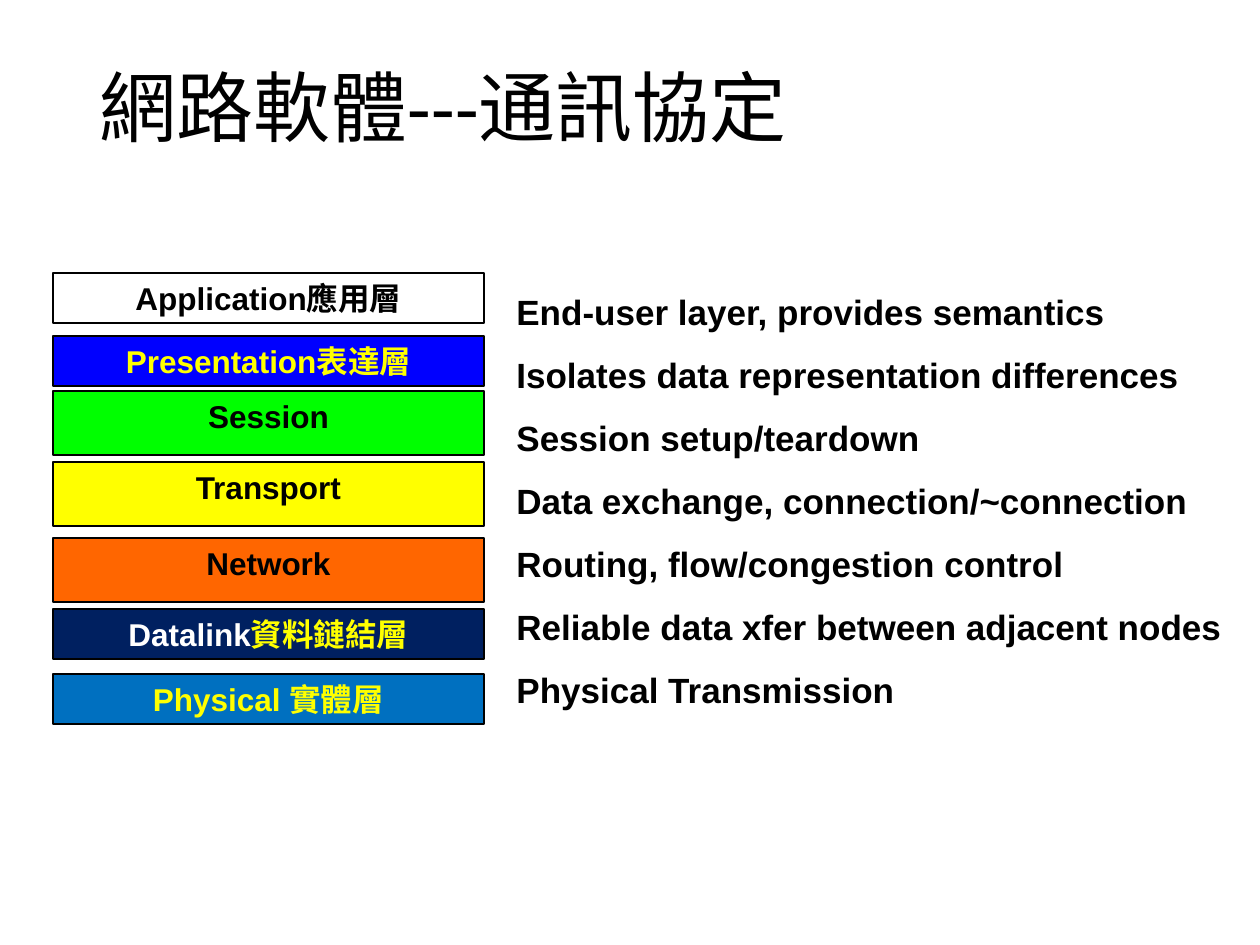
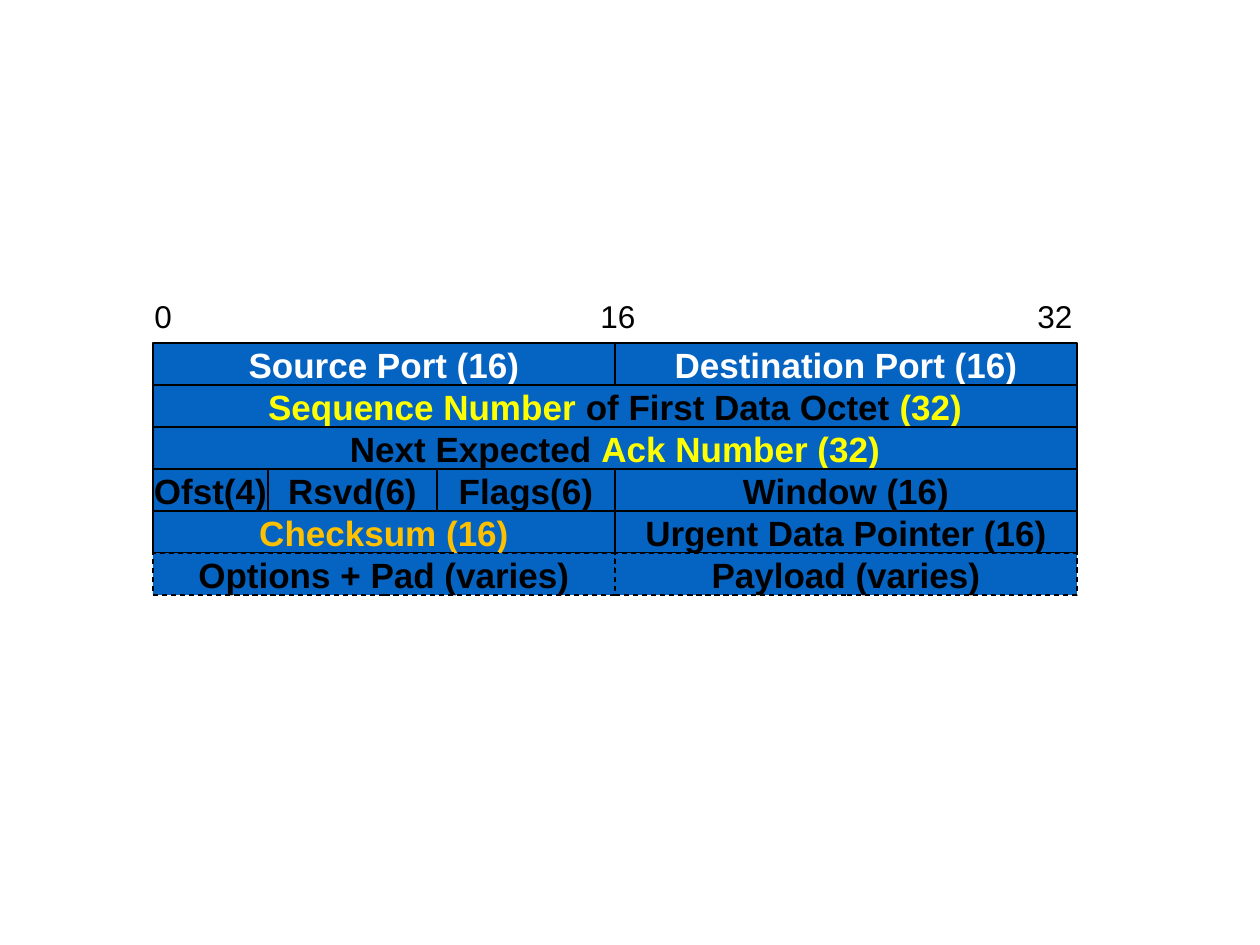
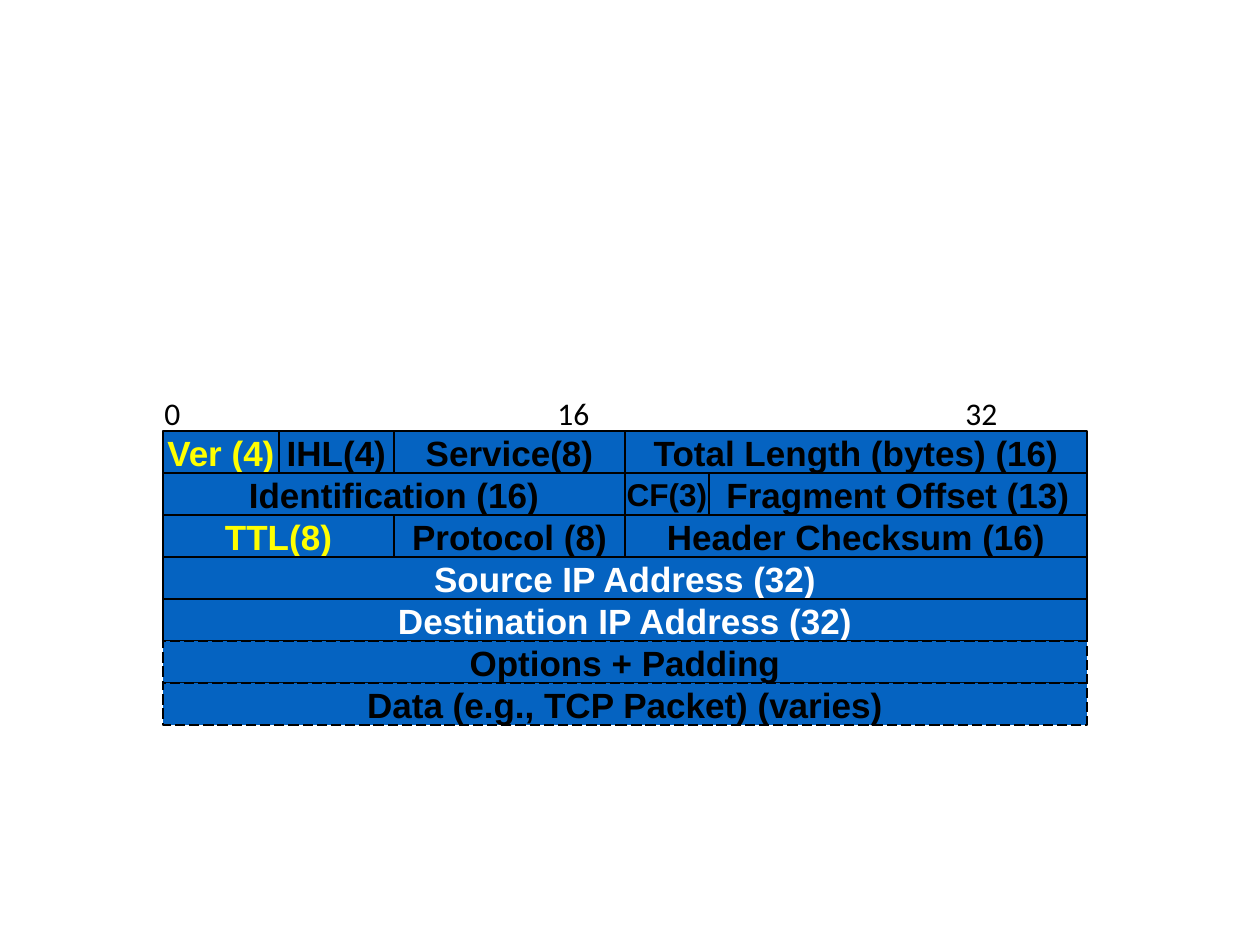
from lxml import etree
from pptx import Presentation
from pptx.dml.color import RGBColor
from pptx.enum.dml import MSO_LINE
from pptx.enum.shapes import MSO_SHAPE
from pptx.enum.text import MSO_ANCHOR, PP_ALIGN
from pptx.oxml.ns import qn
from pptx.util import Pt

RECT = MSO_SHAPE.RECTANGLE
DASH, LONG = MSO_LINE.DASH, MSO_LINE.LONG_DASH
TOP, MIDDLE = MSO_ANCHOR.TOP, MSO_ANCHOR.MIDDLE
LEFT, CENTER = PP_ALIGN.LEFT, PP_ALIGN.CENTER

BLACK = RGBColor(0x00, 0x00, 0x00)
WHITE = RGBColor(0xFF, 0xFF, 0xFF)
YELLOW = RGBColor(0xFF, 0xFF, 0x00)
GOLD = RGBColor(0xFF, 0xC0, 0x00)
GREEN = RGBColor(0x00, 0xFF, 0x00)
ORANGE = RGBColor(0xFF, 0x66, 0x00)
BLUE = RGBColor(0x00, 0x00, 0xFF)
NAVY = RGBColor(0x00, 0x20, 0x60)
SKY = RGBColor(0x00, 0x70, 0xC0)
FIELD = RGBColor(0x05, 0x63, 0xC1)

SCALE = 914400 / 126


def px(*sizes):
    return [round(size * SCALE) for size in sizes]


def draw_box(slide, place, fill, parts, size, anchor):
    box = slide.shapes.add_shape(RECT, *px(*place))
    box.shadow.inherit = False
    box.fill.solid()
    box.fill.fore_color.rgb = fill
    box.line.color.rgb = BLACK
    box.line.width = Pt(0.75)
    frame = box.text_frame
    frame.vertical_anchor = anchor
    line = frame.paragraphs[0]
    line.alignment = CENTER
    for text, color in parts:
        run = line.add_run()
        run.text = text
        run.font.name = "Arial"
        run.font.size = Pt(size)
        run.font.bold = True
        run.font.color.rgb = color
    return box


deck = Presentation()
deck.slide_width, deck.slide_height = px(1260, 945)

slide = deck.slides.add_slide(deck.slide_layouts[5])
title = slide.shapes.title
title.left, title.top, title.width, title.height = px(87, 50, 959, 124)
title.text_frame.text = "網路軟體---通訊協定"
title.text_frame.vertical_anchor = MIDDLE
line = title.text_frame.paragraphs[0]
line.alignment = LEFT
line.line_spacing = 0.9
font = line.runs[0].font
font.name = "Calibri"
font.size = Pt(44)
font.color.rgb = BLACK

LAYERS = [
    (273, 50, WHITE, [("Application應用層", BLACK)],
     683, "End-user layer, provides semantics"),
    (336, 50, BLUE, [("Presentation表達層", YELLOW)],
     714, "Isolates data representation differences"),
    (391, 64, GREEN, [("Session", BLACK)],
     599, "Session setup/teardown"),
    (462, 64, YELLOW, [("Transport", BLACK)],
     725, "Data exchange, connection/~connection"),
    (538, 64, ORANGE, [("Network", BLACK)],
     599, "Routing, flow/congestion control"),
    (609, 50, NAVY, [("Datalink", WHITE), ("資料鏈結層", YELLOW)],
     735, "Reliable data xfer between adjacent nodes"),
    (674, 50, SKY, [("Physical 實體層", YELLOW)],
     599, "Physical Transmission"),
]
for row, (top, high, fill, parts, wide, role) in enumerate(LAYERS):
    draw_box(slide, (53, top, 431, high), fill, parts, 18, TOP)
    note = slide.shapes.add_textbox(*px(504, 284 + 63 * row, wide, 54))
    note.text_frame.word_wrap = True
    note.text_frame.text = role
    font = note.text_frame.paragraphs[0].runs[0].font
    font.name = "Arial"
    font.size = Pt(20)
    font.bold = True
    font.color.rgb = BLACK

FULL = 924
HALF = FULL // 2
BYTE = HALF // 2

TCP = [
    [(HALF, [("Source Port (16)", WHITE)]),
     (HALF, [("Destination Port (16)", WHITE)])],
    [(FULL, [("Sequence Number ", YELLOW), ("of First Data Octet ", BLACK),
             ("(32)", YELLOW)])],
    [(FULL, [("Next Expected ", BLACK), ("Ack Number (32)", YELLOW)])],
    [(115, [("Ofst(4)", BLACK)]), (169, [("Rsvd(6)", BLACK)]),
     (178, [("Flags(6)", BLACK)]), (HALF, [("Window (16)", BLACK)])],
    [(HALF, [("Checksum (16)", GOLD)]),
     (HALF, [("Urgent Data Pointer (16)", BLACK)])],
    [(HALF, [("Options + Pad (varies)", BLACK)]),
     (HALF, [("Payload (varies)", BLACK)])],
]
IP = [
    [(116, [("Ver (4)", YELLOW)]), (115, [("IHL(4)", BLACK)]),
     (BYTE, [("Service(8)", BLACK)]),
     (HALF, [("Total Length (bytes) (16)", BLACK)])],
    [(HALF, [("Identification (16)", BLACK)]), (84, [("CF(3)", BLACK)]),
     (378, [("Fragment Offset (13)", BLACK)])],
    [(BYTE, [("TTL(8)", YELLOW)]), (BYTE, [("Protocol (8)", BLACK)]),
     (HALF, [("Header Checksum (16)", BLACK)])],
    [(FULL, [("Source IP Address (32)", WHITE)])],
    [(FULL, [("Destination IP Address (32)", WHITE)])],
    [(FULL, [("Options + Padding", BLACK)])],
    [(FULL, [("Data (e.g., TCP Packet) (varies)", BLACK)])],
]
HEADERS = [
    (TCP, 153, 343, 5, DASH, "Arial", (142, 291, 945, 50), (446, 883)),
    (IP, 163, 431, 5, LONG, "Calibri", (152, 388, 955, 50), (393, 801)),
]
for rows, left, top, solid, dash, face, place, stops in HEADERS:
    slide = deck.slides.add_slide(deck.slide_layouts[6])
    for row, cells in enumerate(rows):
        x = left
        for wide, parts in cells:
            size = 18 if wide < 100 else 20
            box = draw_box(slide, (x, top + 42 * row, wide, 42),
                           FIELD, parts, size, MIDDLE)
            box.text_frame.word_wrap = False
            if row >= solid:
                box.line.dash_style = dash
            x += wide
    ruler = slide.shapes.add_textbox(*px(*place))
    ruler.text_frame.word_wrap = True
    ruler.text_frame.text = "0\t16\t32"
    line = ruler.text_frame.paragraphs[0]
    tabs = etree.SubElement(line._p.get_or_add_pPr(), qn("a:tabLst"))
    for stop in px(*stops):
        etree.SubElement(tabs, qn("a:tab"), pos=str(stop), algn="l")
    for run in line.runs:
        run.font.name = face
        run.font.size = Pt(18)
        run.font.color.rgb = BLACK

deck.save("out.pptx")
